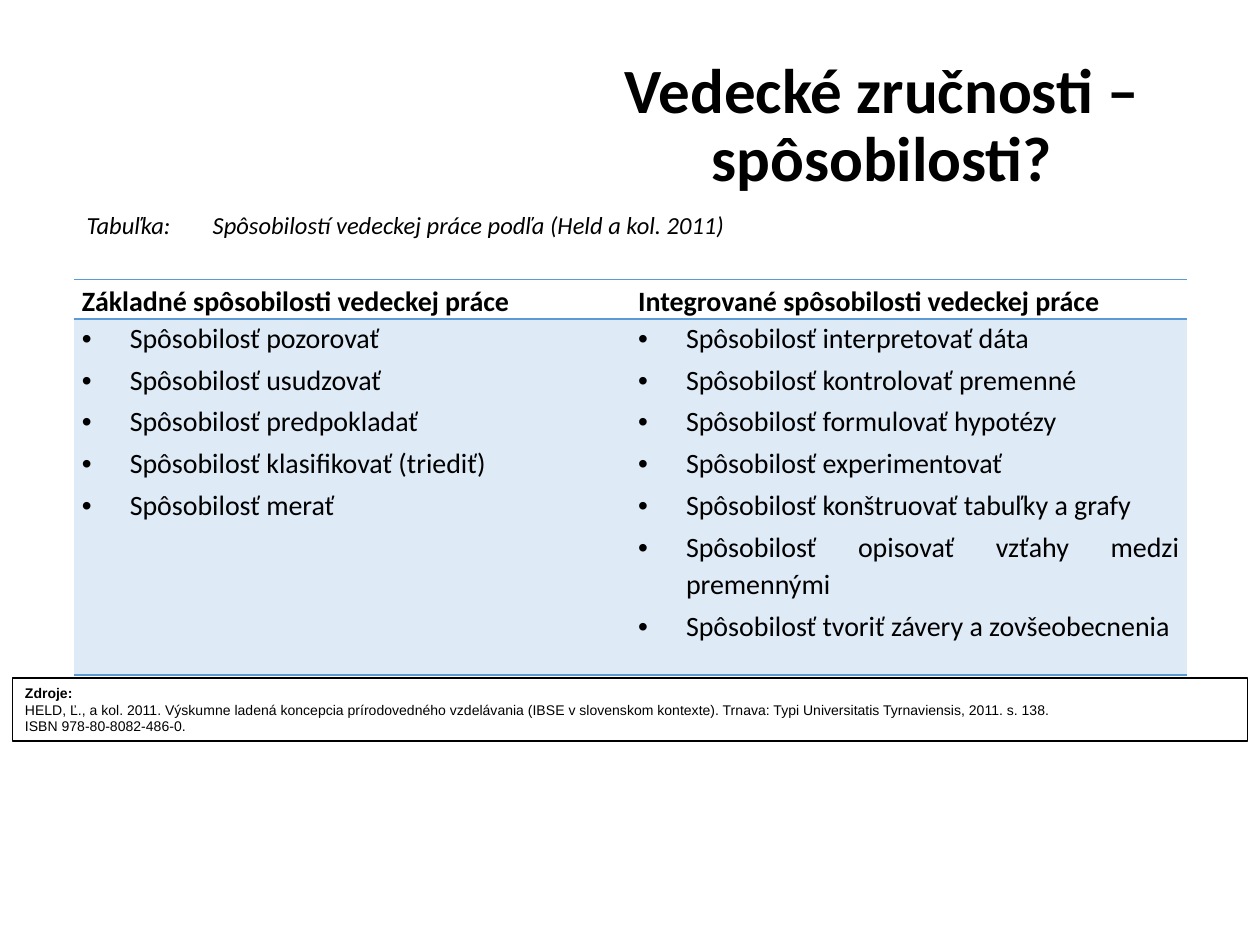
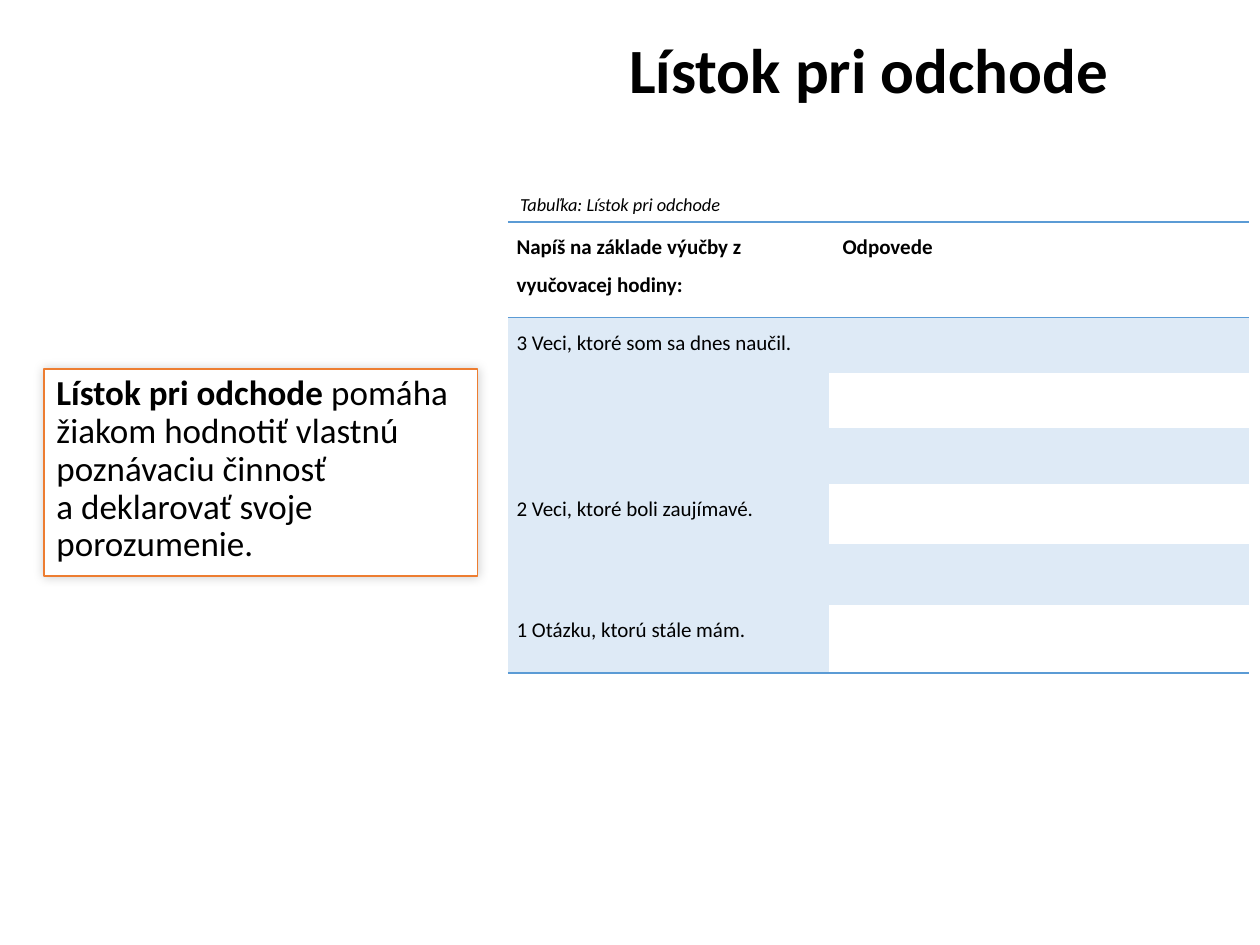
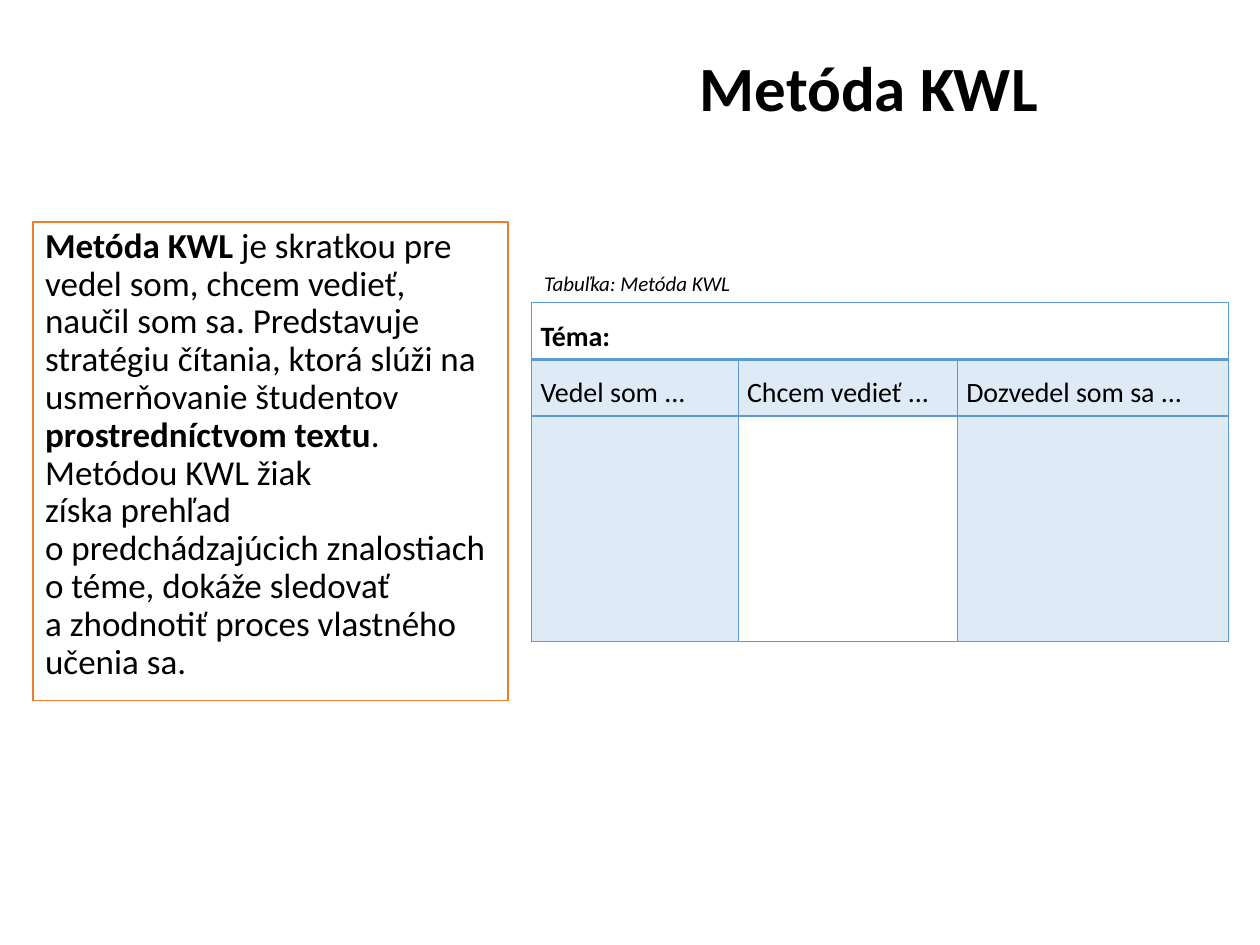
from dataclasses import dataclass

from lxml.etree import SubElement
from pptx import Presentation
from pptx.dml.color import RGBColor
from pptx.enum.shapes import MSO_SHAPE
from pptx.enum.text import MSO_ANCHOR, MSO_AUTO_SIZE, PP_ALIGN
from pptx.oxml import parse_xml
from pptx.oxml.ns import nsdecls, qn
from pptx.util import Inches, Pt

NBSP = chr(160)
TITLE_ONLY = 5
PLAIN_TABLE_STYLE = "{2D5ABB26-0587-4C30-8999-92F81FD0307C}"
SIDES = "LRTB"


@dataclass(frozen=True)
class Theme:
    width: int = Inches(10)
    height: int = Inches(7.5)
    text: str = "000000"
    paper: str = "FFFFFF"
    rule: str = "5B9BD5"
    shade: str = "DEEAF6"
    accent: str = "ED7D31"
    font: str = "Calibri"
    source_font: str = "Arial"
    title_size: float = 36
    definition_size: float = 20
    table_size: float = 16
    small_table_size: float = 12
    source_size: float = 8
    empty_size: float = 10


THEME = Theme()


def across(share):
    """Turn a percentage of the slide's width into a length."""
    return round(THEME.width * share / 100)


def down(share):
    """Turn a percentage of the slide's height into a length."""
    return round(THEME.height * share / 100)


def area(left, top, width, height):
    return across(left), down(top), across(width), down(height)


def rgb(colour):
    return RGBColor.from_string(colour)


def style_runs(paragraph, size, bold=None, italic=False, font=THEME.font):
    for run in paragraph.runs:
        run.font.name = font
        run.font.size = Pt(size)
        run.font.color.rgb = rgb(THEME.text)
        run.font.italic = italic
        if bold is not None:
            run.font.bold = bold


def add_titled_slide(deck, title, place):
    slide = deck.slides.add_slide(deck.slide_layouts[TITLE_ONLY])
    heading = slide.shapes.title
    heading.left, heading.top, heading.width, heading.height = area(*place)
    frame = heading.text_frame
    frame.text = title
    frame.word_wrap = True
    frame.auto_size = MSO_AUTO_SIZE.NONE
    frame.vertical_anchor = MSO_ANCHOR.MIDDLE
    paragraph = frame.paragraphs[0]
    paragraph.alignment = PP_ALIGN.CENTER
    paragraph.line_spacing = 0.9
    style_runs(paragraph, THEME.title_size, bold=True)
    return slide


def add_caption(slide, text, place, size):
    frame = slide.shapes.add_textbox(*area(*place)).text_frame
    frame.word_wrap = True
    frame.text = text
    style_runs(frame.paragraphs[0], size, italic=True)


def add_panel(slide, place, border, border_width):
    """Add a white bordered rectangle for left-aligned text."""
    panel = slide.shapes.add_shape(MSO_SHAPE.RECTANGLE, *area(*place))
    panel.shadow.inherit = False
    panel.fill.solid()
    panel.fill.fore_color.rgb = rgb(THEME.paper)
    panel.line.color.rgb = rgb(border)
    panel.line.width = Pt(border_width)
    panel.text_frame.word_wrap = True
    panel.text_frame.vertical_anchor = MSO_ANCHOR.TOP
    panel.text_frame.paragraphs[0].alignment = PP_ALIGN.LEFT
    return panel


def add_definition(slide, place, passages):
    """Add an orange box whose passages alternate between bold and plain."""
    panel = add_panel(slide, place, THEME.accent, 1)
    paragraph = panel.text_frame.paragraphs[0]
    paragraph.line_spacing = 0.9
    for position, passage in enumerate(passages):
        for row, line in enumerate(passage.split("\n")):
            if row:
                paragraph.add_line_break()
            run = paragraph.add_run()
            run.text = line
            run.font.bold = position % 2 == 0
    style_runs(paragraph, THEME.definition_size)
    return panel


def add_glow(panel):
    effects = panel._element.spPr.find(qn("a:effectLst"))
    effects.append(parse_xml(
        f'<a:outerShdw {nsdecls("a")} blurRad="{Pt(6)}" dist="0" dir="13500000">'
        f'<a:srgbClr val="{THEME.text}"><a:alpha val="20000"/></a:srgbClr>'
        '</a:outerShdw>'))


def add_sources(slide, place, heading, citation):
    frame = add_panel(slide, place, THEME.text, 0.75).text_frame
    frame.vertical_anchor = MSO_ANCHOR.MIDDLE
    frame.paragraphs[0].text = heading
    frame.add_paragraph().text = citation
    for paragraph, bold in zip(frame.paragraphs, (True, False)):
        paragraph.alignment = PP_ALIGN.LEFT
        style_runs(paragraph, THEME.source_size, bold, font=THEME.source_font)


def add_plain_table(slide, left, top, columns, rows, margin, is_shaded):
    """Add a table without style; is_shaded(row, column) picks the blue cells."""
    table = slide.shapes.add_table(
        len(rows), len(columns),
        *area(left, top, sum(columns), sum(rows))).table
    table._tbl.tblPr.find(qn("a:tableStyleId")).text = PLAIN_TABLE_STYLE
    table.first_row = table.horz_banding = False
    for column, share in zip(table.columns, columns):
        column.width = across(share)
    for r, share in enumerate(rows):
        table.rows[r].height = down(share)
        for c in range(len(columns)):
            cell = table.cell(r, c)
            cell.margin_left = cell.margin_right = Inches(margin)
            cell.margin_top = cell.margin_bottom = 0
            if is_shaded(r, c):
                cell.fill.solid()
                cell.fill.fore_color.rgb = rgb(THEME.shade)
            else:
                cell.fill.background()
            ending = cell.text_frame.paragraphs[0]._p.get_or_add_endParaRPr()
            ending.set("sz", str(THEME.empty_size * 100))
    return table


def rule_cell(cell, **widths):
    """Draw borders; the keywords L, R, T and B give widths in points."""
    properties = cell._tc.get_or_add_tcPr()
    drawn = [side for side in SIDES if side in widths]
    for position, side in enumerate(drawn):
        properties.insert(position, parse_xml(
            f'<a:ln{side} {nsdecls("a")} w="{Pt(widths[side])}"><a:solidFill>'
            f'<a:srgbClr val="{THEME.rule}"/></a:solidFill></a:ln{side}>'))


def rule_row(table, row, **widths):
    for cell in table.rows[row].cells:
        rule_cell(cell, **widths)


def write_cell(cell, text, size, spacing, bold=False):
    cell.text_frame.text = text
    paragraph = cell.text_frame.paragraphs[0]
    paragraph.line_spacing = spacing
    style_runs(paragraph, size, bold)


def list_in_cell(cell, items):
    cell.text_frame.text = "\n".join(items)
    for position, paragraph in enumerate(cell.text_frame.paragraphs):
        properties = paragraph._p.get_or_add_pPr()
        properties.set("marL", str(Inches(0.38)))
        properties.set("indent", str(-Inches(0.38)))
        SubElement(properties, qn("a:buFont"), typeface="Arial")
        SubElement(properties, qn("a:buChar"), char="•")
        paragraph.alignment = PP_ALIGN.JUSTIFY
        paragraph.line_spacing = 1.07
        if position:
            paragraph.space_before = Pt(3)
        style_runs(paragraph, THEME.table_size, bold=False)


def build_skills(deck):
    slide = add_titled_slide(deck, "Vedecké zručnosti – spôsobilosti?",
                             (41.9, 5.2, 56.2, 16.53))
    skills = {
        "Základné spôsobilosti vedeckej práce": [
            "Spôsobilosť pozorovať",
            "Spôsobilosť usudzovať",
            "Spôsobilosť predpokladať",
            "Spôsobilosť klasifikovať (triediť)",
            "Spôsobilosť merať",
        ],
        "Integrované spôsobilosti vedeckej práce": [
            "Spôsobilosť interpretovať dáta",
            "Spôsobilosť kontrolovať premenné",
            "Spôsobilosť formulovať hypotézy",
            "Spôsobilosť experimentovať",
            f"Spôsobilosť konštruovať tabuľky a{NBSP}grafy",
            "Spôsobilosť opisovať vzťahy medzi premennými",
            "Spôsobilosť tvoriť závery a zovšeobecnenia",
        ],
    }
    table = add_plain_table(slide, 5.9, 29.6, [44.15] * 2, [4.13, 34.3, 3.33],
                            0.06, lambda row, column: row > 0)
    for column, (group, items) in enumerate(skills.items()):
        write_cell(table.cell(0, column), group, THEME.table_size, 1.15, bold=True)
        list_in_cell(table.cell(1, column), items)
    table.cell(2, 0).merge(table.cell(2, 1))
    rule_row(table, 0, T=1, B=1)
    rule_row(table, 2, B=1)
    add_caption(slide,
                f"Tabuľka:\tSpôsobilostí vedeckej práce podľa (Held a{NBSP}kol. 2011)",
                (5.9, 21.6, 68.4, 4.53), 14)
    add_sources(slide, (1, 71.73, 98, 6.67), "Zdroje:",
                "HELD, Ľ., a kol. 2011. Výskumne ladená koncepcia prírodovedného "
                "vzdelávania (IBSE v slovenskom kontexte). Trnava: Typi Universitatis "
                "Tyrnaviensis, 2011. s. 138.\vISBN 978-80-8082-486-0.")


def build_exit_ticket(deck):
    slide = add_titled_slide(deck, "Lístok pri odchode", (37.9, 2.93, 62.1, 9.6))
    add_caption(slide, "Tabuľka: Lístok pri odchode", (40.3, 19.73, 52.3, 3.73), 10.5)
    definition = add_definition(slide, (3.5, 39.07, 34.4, 21.87), [
        "Lístok pri odchode ",
        "pomáha žiakom hodnotiť vlastnú poznávaciu činnosť "
        f"a{NBSP}deklarovať svoje porozumenie.",
    ])
    add_glow(definition)
    table = add_plain_table(
        slide, 40.3, 23.47, [25.5, 33.3], [10.13] + [5.87] * 3 + [6.4] * 2 + [7.2],
        0.07, lambda row, column: row > 0 and (column == 0 or row % 2 == 1))
    for column, heading in enumerate(
            ["Napíš na základe výučby z vyučovacej hodiny:", " Odpovede"]):
        write_cell(table.cell(0, column), heading, THEME.small_table_size, 1.5, bold=True)
    row = 1
    for answers, prompt in [(3, "3 Veci, ktoré som sa dnes naučil."),
                            (2, "2 Veci, ktoré boli zaujímavé."),
                            (1, "1 Otázku, ktorú stále mám.")]:
        if answers > 1:
            table.cell(row, 0).merge(table.cell(row + answers - 1, 0))
        write_cell(table.cell(row, 0), prompt, THEME.small_table_size, 1.5)
        row += answers
    rule_row(table, 0, T=1, B=1)
    rule_row(table, row - 1, B=1)


def build_kwl(deck):
    slide = add_titled_slide(deck, "Metóda KWL", (37.9, 4.8, 62.1, 9.6))
    add_caption(slide, "Tabuľka: Metóda KWL", (42.2, 28, 52.3, 4), 12)
    add_definition(slide, (2.6, 23.47, 37.7, 50.67), [
        "Metóda KWL ",
        "je skratkou pre vedel som, chcem vedieť, naučil som sa. Predstavuje "
        "stratégiu čítania, ktorá slúži na usmerňovanie študentov ",
        "prostredníctvom textu",
        ". Metódou KWL žiak\nzíska prehľad\no predchádzajúcich znalostiach "
        f"o{NBSP}téme, dokáže sledovať\na zhodnotiť proces vlastného učenia sa.",
    ])
    table = add_plain_table(slide, 42.2, 32, [16.4, 17.4, 21.5], [6, 6, 23.87], 0.07,
                            lambda row, column: row == 1 or (row == 2 and column != 1))
    table.cell(0, 0).merge(table.cell(0, 2))
    write_cell(table.cell(0, 0), "Téma:", THEME.table_size, 1.5, bold=True)
    for column, stage in enumerate(
            ["Vedel som ...", "Chcem vedieť ...", "Dozvedel som sa ..."]):
        write_cell(table.cell(1, column), stage, THEME.table_size, 1.5)
    rule_row(table, 0, L=1, R=1, T=1, B=2)
    rule_row(table, 1, L=1, R=1, T=2, B=1)
    rule_row(table, 2, L=1, R=1, T=1, B=1)


def main():
    deck = Presentation()
    deck.slide_width, deck.slide_height = THEME.width, THEME.height
    build_skills(deck)
    build_exit_ticket(deck)
    build_kwl(deck)
    deck.save("out.pptx")


if __name__ == "__main__":
    main()
